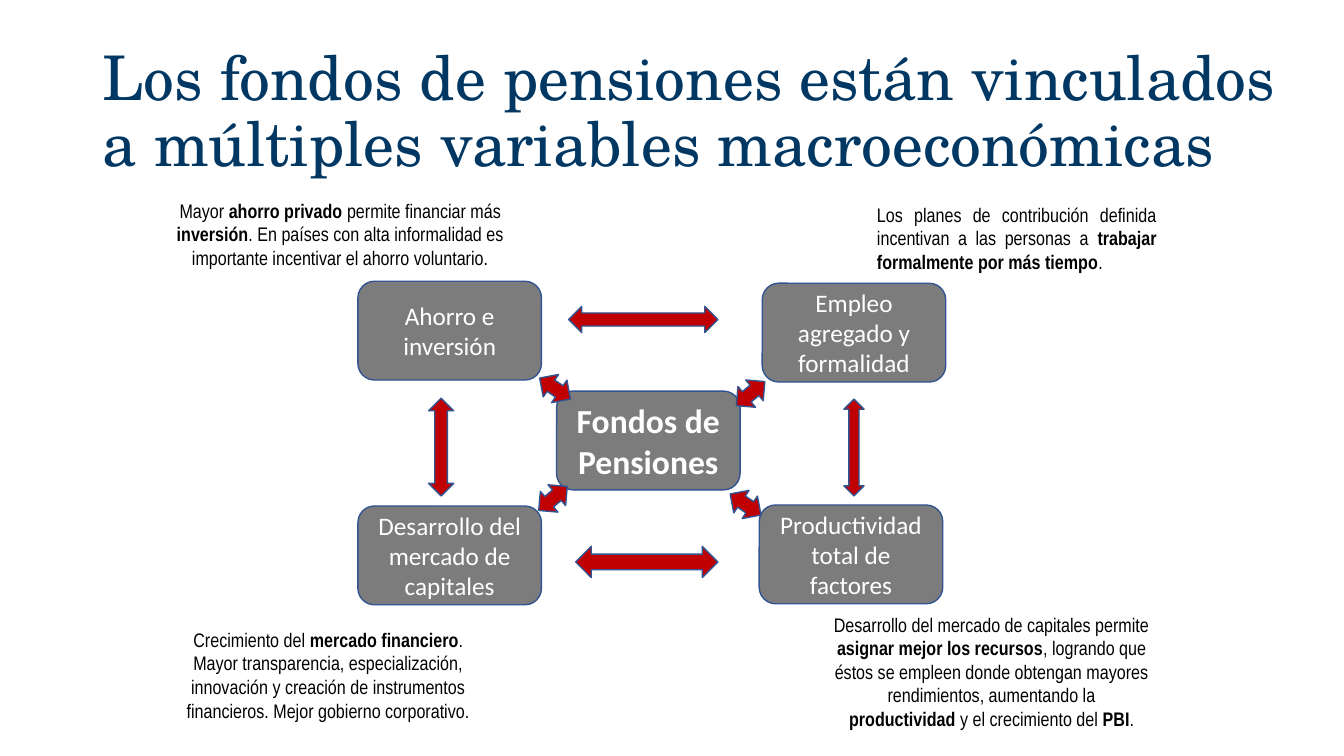
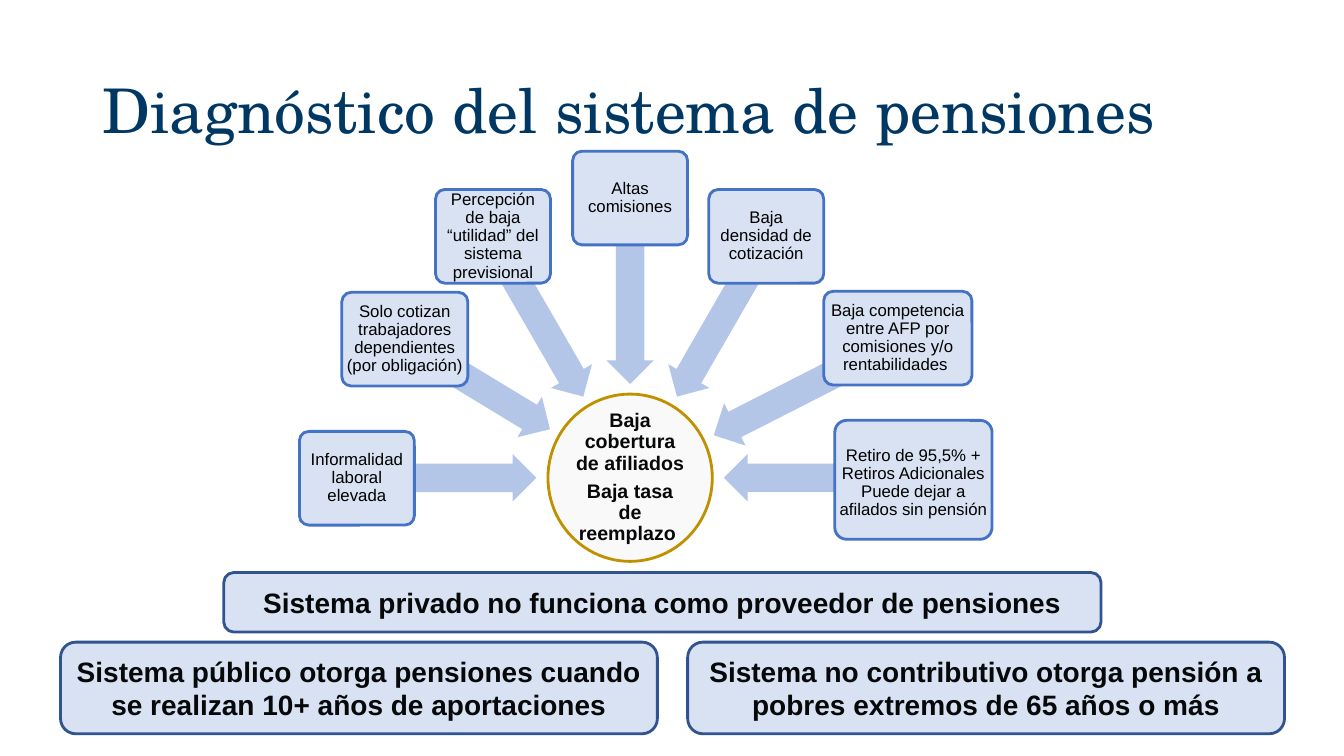
import math

import pptx
import pptx.dml.color
import pptx.enum.shapes
import pptx.enum.text
import pptx.util

Inches = pptx.util.Inches
Pt = pptx.util.Pt
RGBColor = pptx.dml.color.RGBColor
Shape = pptx.enum.shapes.MSO_SHAPE
Align = pptx.enum.text.PP_ALIGN
Anchor = pptx.enum.text.MSO_ANCHOR

NAVY = RGBColor(0x00, 0x38, 0x63)
BLACK = RGBColor(0x00, 0x00, 0x00)
INK = RGBColor(0x06, 0x08, 0x0A)
WHITE = RGBColor(0xFF, 0xFF, 0xFF)
GRAY = RGBColor(0x7C, 0x7C, 0x7C)
RED = RGBColor(0xC0, 0x00, 0x00)
OUTLINE = RGBColor(0x32, 0x54, 0x91)
PALE_BLUE = RGBColor(0xD8, 0xE2, 0xF3)
SOFT_BLUE = RGBColor(0xB3, 0xC6, 0xE7)
BLUE = RGBColor(0x44, 0x72, 0xC4)
DARK_BLUE = RGBColor(0x31, 0x53, 0x8F)
OFF_WHITE = RGBColor(0xFA, 0xF9, 0xF9)
GOLD = RGBColor(0xBF, 0x90, 0x00)

# Slide 1. Asterisks enclose bold words.
LINKS_TITLE = "Los fondos de pensiones están vinculados a múltiples variables macroeconómicas"
BOX_SIZE = (1.82, 0.98)
CORE = ("Fondos de Pensiones", 5.52, 3.88)
VARIABLES = [
    ("Ahorro e inversión", 3.55, 2.79),
    ("Empleo agregado y formalidad", 7.56, 2.81),
    ("Desarrollo del mercado de capitales", 3.55, 5.02),
    ("Productividad total de factores", 7.53, 5.01),
]
NOTES = [
    ("Mayor *ahorro privado *permite financiar más *inversión*. En países con alta "
     "informalidad es importante incentivar el ahorro voluntario.",
     (1.62, 1.92, 3.51, 0.81), Align.CENTER),
    ("Los planes de contribución definida incentivan a las personas a "
     "*trabajar formalmente por más tiempo*.",
     (8.6, 1.96, 2.97, 0.81), Align.JUSTIFY),
    ("Crecimiento del *mercado financiero*. Mayor transparencia, especialización, "
     "innovación y creación de instrumentos financieros. Mejor gobierno corporativo.",
     (1.65, 6.18, 3.21, 1.04), Align.CENTER),
    ("Desarrollo del mercado de capitales permite *asignar mejor los recursos*, logrando "
     "que éstos se empleen donde obtengan mayores rendimientos, aumentando la "
     "*productividad* y el crecimiento del *PBI*.",
     (8.17, 6.03, 3.33, 1.28), Align.CENTER),
]
SHORT_ARROW = (0.37, 0.27)
DOUBLE_ARROWS = [  # left, top, size, rotation
    (5.64, 3.04, (1.48, 0.26), 0),
    (5.71, 5.42, (1.41, 0.31), 0),
    (3.89, 4.31, (0.97, 0.25), 270),
    (7.99, 4.34, (0.96, 0.2), 270),
    (5.32, 3.72, SHORT_ARROW, 34.3),
    (7.21, 4.87, SHORT_ARROW, 34.3),
    (7.26, 3.77, SHORT_ARROW, 319.8),
    (5.3, 4.81, SHORT_ARROW, 319.8),
]

# Slide 2
DIAGNOSIS_TITLE = "Diagnóstico del sistema de pensiones"
HUB_TEXT = "Baja cobertura de afiliados\nBaja tasa de reemplazo "
HUB_CENTER = (6.25, 4.74)
HUB_SIZE = (1.63, 1.66)
TIP_DISTANCE = 0.93
ARROW_THICKNESS = 0.47
CAUSE_MARGINS = (0.02, 0.02, 0.02, 0.02)
CAUSES = [  # text, box, margins, arrow angle around the hub, arrow length
    ("Informalidad laboral elevada",
     (2.97, 4.28, 1.14, 0.93), CAUSE_MARGINS, 180, 1.79),
    ("Solo cotizan trabajadores dependientes (por obligación)",
     (3.39, 2.9, 1.25, 0.93), CAUSE_MARGINS, 211.2, 1.69),
    ("Percepción de baja “utilidad” del sistema previsional",
     (4.32, 1.88, 1.14, 0.93), CAUSE_MARGINS, 240, 1.83),
    ("Altas comisiones",
     (5.68, 1.5, 1.14, 0.93), CAUSE_MARGINS, 270, 1.83),
    ("Baja densidad de cotización",
     (7.03, 1.88, 1.14, 0.93), CAUSE_MARGINS, 300, 1.83),
    ("Baja competencia entre AFP por comisiones y/o rentabilidades ",
     (8.17, 2.89, 1.47, 0.93), CAUSE_MARGINS, 333, 2.05),
    ("Retiro de 95,5% + Retiros Adicionales Puede dejar a afilados sin pensión ",
     (8.28, 4.17, 1.56, 1.18), (0, 0.07, 0, 0), 0, 1.79),
]
CONCLUSIONS = [
    ("Sistema privado no funciona como proveedor de pensiones", (2.22, 5.68, 8.7, 0.59)),
    ("Sistema público otorga pensiones cuando se realizan 10+ años de aportaciones",
     (0.6, 6.37, 5.92, 0.91)),
    ("Sistema no contributivo otorga pensión a pobres extremos de 65 años o más",
     (6.82, 6.37, 5.92, 0.91)),
]


def write(shape, text, font, size, color, bold=False, align=Align.CENTER,
          anchor=Anchor.MIDDLE, margins=(0.1, 0.05, 0.1, 0.05), line_spacing=None):
    """Fill a shape with text; each line is a paragraph, *words* are bold."""
    frame = shape.text_frame
    frame.text = text
    frame.word_wrap = True
    frame.vertical_anchor = anchor
    (frame.margin_left, frame.margin_top,
     frame.margin_right, frame.margin_bottom) = map(Inches, margins)
    for paragraph in frame.paragraphs:
        pieces = paragraph.text.split("*")
        paragraph.text = ""
        paragraph.alignment = align
        paragraph.line_spacing = line_spacing
        for index, piece in enumerate(pieces):
            run = paragraph.add_run()
            run.text = piece
            run.font.name = font
            run.font.size = Pt(size)
            run.font.color.rgb = color
            run.font.bold = bold or index % 2 == 1


def add_text(slide, text, box, *style, **options):
    shape = slide.shapes.add_textbox(*map(Inches, box))
    write(shape, text, *style, **options)


def add_figure(slide, kind, box, fill, line=None, line_width=1, rotation=0, adjustments=()):
    shape = slide.shapes.add_shape(kind, *map(Inches, box))
    shape.shadow.inherit = False
    shape.rotation = rotation
    shape.fill.solid()
    shape.fill.fore_color.rgb = fill
    if line is None:
        shape.line.fill.background()
    else:
        shape.line.color.rgb = line
        shape.line.width = Pt(line_width)
    for index, value in enumerate(adjustments):
        shape.adjustments[index] = value
    return shape


def add_titled_slide(presentation, title, title_width):
    slide = presentation.slides.add_slide(presentation.slide_layouts[6])
    add_text(slide, title, (0.92, 0.4, title_width, 1.45), "TeX Gyre Schola", 44, NAVY,
             align=Align.LEFT, line_spacing=0.9)
    return slide


def add_gray_box(slide, text, left, top, size, bold=False):
    shape = add_figure(slide, Shape.ROUNDED_RECTANGLE, (left, top, *BOX_SIZE), GRAY, OUTLINE)
    write(shape, text, "Calibri", size, WHITE, bold)


def add_hub_arrow(slide, angle, length):
    """Add an arrow that points at the hub from the given angle."""
    distance = TIP_DISTANCE + length / 2
    center_x = HUB_CENTER[0] + distance * math.cos(math.radians(angle))
    center_y = HUB_CENTER[1] + distance * math.sin(math.radians(angle))
    box = (center_x - length / 2, center_y - ARROW_THICKNESS / 2, length, ARROW_THICKNESS)
    add_figure(slide, Shape.LEFT_ARROW, box, SOFT_BLUE, rotation=angle, adjustments=(0.6, 0.5))


def build_links_slide(presentation):
    slide = add_titled_slide(presentation, LINKS_TITLE, 12.26)
    add_gray_box(slide, *CORE, 24, bold=True)
    for variable in VARIABLES:
        add_gray_box(slide, *variable, 18)
    for text, box, align in NOTES:
        add_text(slide, text, box, "Arial Narrow", 14, BLACK, align=align, anchor=Anchor.TOP)
    for left, top, size, rotation in DOUBLE_ARROWS:
        add_figure(slide, Shape.LEFT_RIGHT_ARROW, (left, top, *size), RED, OUTLINE,
                   rotation=rotation)


def build_diagnosis_slide(presentation):
    slide = add_titled_slide(presentation, DIAGNOSIS_TITLE, 11.5)
    corner = [center - size / 2 for center, size in zip(HUB_CENTER, HUB_SIZE)]
    hub = add_figure(slide, Shape.OVAL, (*corner, *HUB_SIZE), OFF_WHITE, GOLD, 2)
    write(hub, HUB_TEXT, "Arial", 14, INK, True, margins=(0.01,) * 4, line_spacing=0.9)
    hub.text_frame.paragraphs[1].space_before = Pt(4.9)
    for text, box, margins, angle, length in CAUSES:
        add_hub_arrow(slide, angle, length)
        cause = add_figure(slide, Shape.ROUNDED_RECTANGLE, box, PALE_BLUE, BLUE, 2,
                           adjustments=(0.1,))
        write(cause, text, "Arial", 12, BLACK, margins=margins, line_spacing=0.9)
    for text, box in CONCLUSIONS:
        conclusion = add_figure(slide, Shape.FLOWCHART_ALTERNATE_PROCESS, box,
                                PALE_BLUE, DARK_BLUE, 2)
        write(conclusion, text, "Arial", 20, INK, True)


def main():
    presentation = pptx.Presentation()
    presentation.slide_width = Inches(13.33)
    presentation.slide_height = Inches(7.5)
    build_links_slide(presentation)
    build_diagnosis_slide(presentation)
    presentation.save("out.pptx")


if __name__ == "__main__":
    main()
